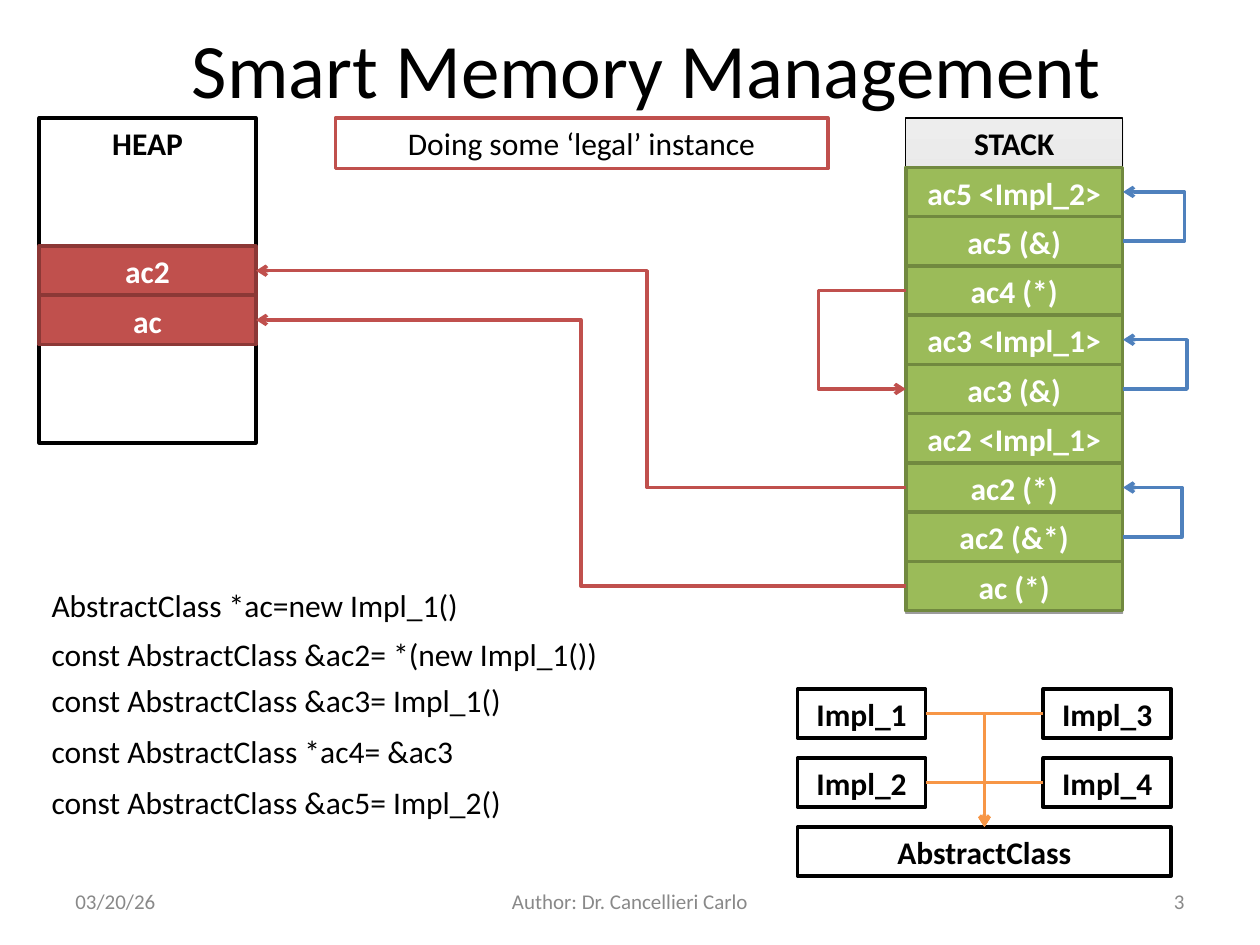
from lxml.etree import SubElement
from pptx import Presentation
from pptx.dml.color import RGBColor
from pptx.enum.shapes import MSO_CONNECTOR, MSO_SHAPE
from pptx.enum.text import MSO_ANCHOR, PP_ALIGN as Align
from pptx.oxml.ns import qn
from pptx.util import Cm, Pt

COLORS = {
    "black": "000000", "white": "FFFFFF", "grey": "898989",
    "red": "C0504D", "dark red": "8C3836", "green": "9BBB59",
    "dark green": "71893F", "blue": "4F81BD", "orange": "F79646",
    "gradient bottom": "BCBCBC", "gradient top": "EDEDED",
}

TITLE = "Smart Memory Management"
HEAP_CELLS = ["ac2", "ac"]
STACK_CELLS = ["ac5 <Impl_2>", "ac5 (&)", "ac4 (*)", "ac3 <Impl_1>", "ac3 (&)",
               "ac2 <Impl_1>", "ac2 (*)", "ac2 (&*)", "ac (*)"]
# text, top, width
CODE_LINES = [
    ("AbstractClass *ac=new Impl_1()", 11.68, 9.92),
    ("const AbstractClass &ac2= *(new Impl_1())", 12.67, 13.1),
    ("const AbstractClass &ac3= Impl_1()", 13.61, 11.91),
    ("const AbstractClass *ac4= &ac3", 14.63, 11.91),
    ("const AbstractClass &ac5= Impl_2()", 15.67, 11.91),
]
IMPLEMENTATIONS = [["Impl_1", "Impl_3"], ["Impl_2", "Impl_4"]]
# text, left, width, alignment
FOOTERS = [
    ("03/20/26", 1.27, 5.92, Align.LEFT),
    ("Author: Dr. Cancellieri Carlo", 8.68, 8.04, Align.CENTER),
    ("3", 18.21, 5.92, Align.RIGHT),
]
# stack cell, heap cell, x of the bend
HEAP_POINTERS = [("ac (*)", "ac", 11.71), ("ac2 (*)", "ac2", 13.04)]
# from stack cell, to stack cell, side, x of the bend, colour
STACK_POINTERS = [
    ("ac2 (&*)", "ac2 (*)", 3, 23.83, "blue"),
    ("ac3 (&)", "ac3 <Impl_1>", 3, 23.93, "blue"),
    ("ac5 (&)", "ac5 <Impl_2>", 3, 23.88, "blue"),
    ("ac4 (*)", "ac3 (&)", 1, 16.49, "red"),
]

HEAP_LEFT, STACK_LEFT, TOP = 0.79, 18.26, 2.38
COLUMN_WIDTH, ROW = 4.37, 0.993
HEAP_CELLS_TOP = 4.96
CLASS_LEFT, CLASS_TOP = 16.08, 13.89
CLASS_STEP_X, CLASS_STEP_Y, CLASS_WIDTH = 4.95, 1.39, 2.58
LINE_HEIGHT = 1.02


def color(name):
    return RGBColor.from_string(COLORS[name])


def write(shape, text, size=18, font_color="black", bold=False, align=Align.LEFT):
    paragraph = shape.text_frame.paragraphs[0]
    paragraph.alignment = align
    run = paragraph.add_run()
    run.text = text
    run.font.name = "Calibri"
    run.font.size = Pt(size)
    run.font.bold = bold
    run.font.color.rgb = color(font_color)


def add_box(text, left, top, width, height, fill="white", line="black",
            font_color="black", bold=True, wrap=False):
    shape = shapes.add_shape(MSO_SHAPE.RECTANGLE, Cm(left), Cm(top), Cm(width), Cm(height))
    shape.shadow.inherit = False
    shape.fill.solid()
    shape.fill.fore_color.rgb = color(fill)
    shape.line.color.rgb = color(line)
    shape.line.width = Pt(2)
    shape.text_frame.word_wrap = wrap
    shape.text_frame.vertical_anchor = MSO_ANCHOR.TOP
    write(shape, text, font_color=font_color, bold=bold, align=Align.CENTER)
    return shape


def add_text(text, left, top, width, anchor=MSO_ANCHOR.TOP, **style):
    box = shapes.add_textbox(Cm(left), Cm(top), Cm(width), Cm(LINE_HEIGHT))
    box.text_frame.word_wrap = True
    box.text_frame.vertical_anchor = anchor
    write(box, text, **style)


def add_cells(names, left, top, fill, line):
    return {name: add_box(name, left, top + row * ROW, COLUMN_WIDTH, ROW,
                          fill, line, font_color="white")
            for row, name in enumerate(names)}


def add_pointer(source, source_side, target, target_side, line_color, bend=None):
    """Elbow arrow; bend is the x of its upright part, or None for one corner."""
    connector = shapes.add_connector(MSO_CONNECTOR.ELBOW, 0, 0, 0, 0)
    connector.begin_connect(source, source_side)
    connector.end_connect(target, target_side)
    connector.line.color.rgb = color(line_color)
    connector.line.width = Pt(2)
    properties = connector._element.spPr
    SubElement(connector.line._get_or_add_ln(), qn("a:tailEnd"), type="arrow")
    SubElement(properties, qn("a:effectLst"))

    bend_x = connector.end_x if bend is None else Cm(bend)
    reach = bend_x - connector.begin_x
    leftward = reach < 0
    upward = connector.end_y < connector.begin_y
    # The bend is a share of the width, so the width must not be zero
    connector.width = max(connector.width, Cm(0.01))
    frame = properties.find(qn("a:xfrm"))
    frame.set("rot", "10800000" if leftward else "0")
    frame.set("flipH", "0")
    frame.set("flipV", "1" if upward != leftward else "0")

    geometry = properties.find(qn("a:prstGeom"))
    if bend is None:
        geometry.set("prst", "bentConnector2")
    else:
        share = round(abs(reach) / connector.width * 100000)
        SubElement(geometry.find(qn("a:avLst")), qn("a:gd"),
                   name="adj1", fmla=f"val {share}")


def style_stack(shape):
    shape.fill.gradient()
    shape.fill.gradient_angle = 90
    for stop, name in zip(shape.fill.gradient_stops, ("gradient bottom", "gradient top")):
        stop.color.rgb = color(name)
    shape.line.width = Pt(0.75)
    effects = shape._element.spPr.find(qn("a:effectLst"))
    shadow = SubElement(effects, qn("a:outerShdw"), dist=str(Pt(1.6)),
                        dir="5400000", rotWithShape="0")
    shade = SubElement(shadow, qn("a:srgbClr"), val=COLORS["black"])
    SubElement(shade, qn("a:alpha"), val="38000")


presentation = Presentation()
presentation.slide_width, presentation.slide_height = Cm(25.4), Cm(19.05)
slide = presentation.slides.add_slide(presentation.slide_layouts[5])
shapes = slide.shapes

title = shapes.title
title.left, title.top, title.width, title.height = Cm(2.24), Cm(0), Cm(21.59), Cm(2.74)
title.text_frame.vertical_anchor = MSO_ANCHOR.MIDDLE
write(title, TITLE, size=44, align=Align.CENTER)

add_box("HEAP", HEAP_LEFT, TOP, COLUMN_WIDTH, 6.55)
style_stack(add_box("STACK", STACK_LEFT, TOP, COLUMN_WIDTH, ROW * (len(STACK_CELLS) + 1)))
add_box("Doing some ‘legal’ instance", 6.76, TOP, 9.93, LINE_HEIGHT,
        line="red", bold=False, wrap=True)
heap = add_cells(HEAP_CELLS, HEAP_LEFT, HEAP_CELLS_TOP, "red", "dark red")
stack = add_cells(STACK_CELLS, STACK_LEFT, TOP + ROW, "green", "dark green")

for text, top, width in CODE_LINES:
    add_text(text, HEAP_LEFT, top, width)

for source, target, bend in HEAP_POINTERS:
    add_pointer(stack[source], 1, heap[target], 3, "red", bend)
for source, target, side, bend, line_color in STACK_POINTERS:
    add_pointer(stack[source], side, stack[target], side, line_color, bend)

base_class = add_box("AbstractClass", CLASS_LEFT, CLASS_TOP + 2 * CLASS_STEP_Y,
                     CLASS_STEP_X + CLASS_WIDTH, ROW)
for row, names in enumerate(IMPLEMENTATIONS):
    for column, name in enumerate(names):
        box = add_box(name, CLASS_LEFT + column * CLASS_STEP_X,
                      CLASS_TOP + row * CLASS_STEP_Y, CLASS_WIDTH, ROW)
        add_pointer(box, 1 if column else 3, base_class, 0, "orange")

for text, left, width, align in FOOTERS:
    add_text(text, left, 17.65, width, MSO_ANCHOR.MIDDLE,
             size=12, font_color="grey", align=align)

presentation.save("out.pptx")
